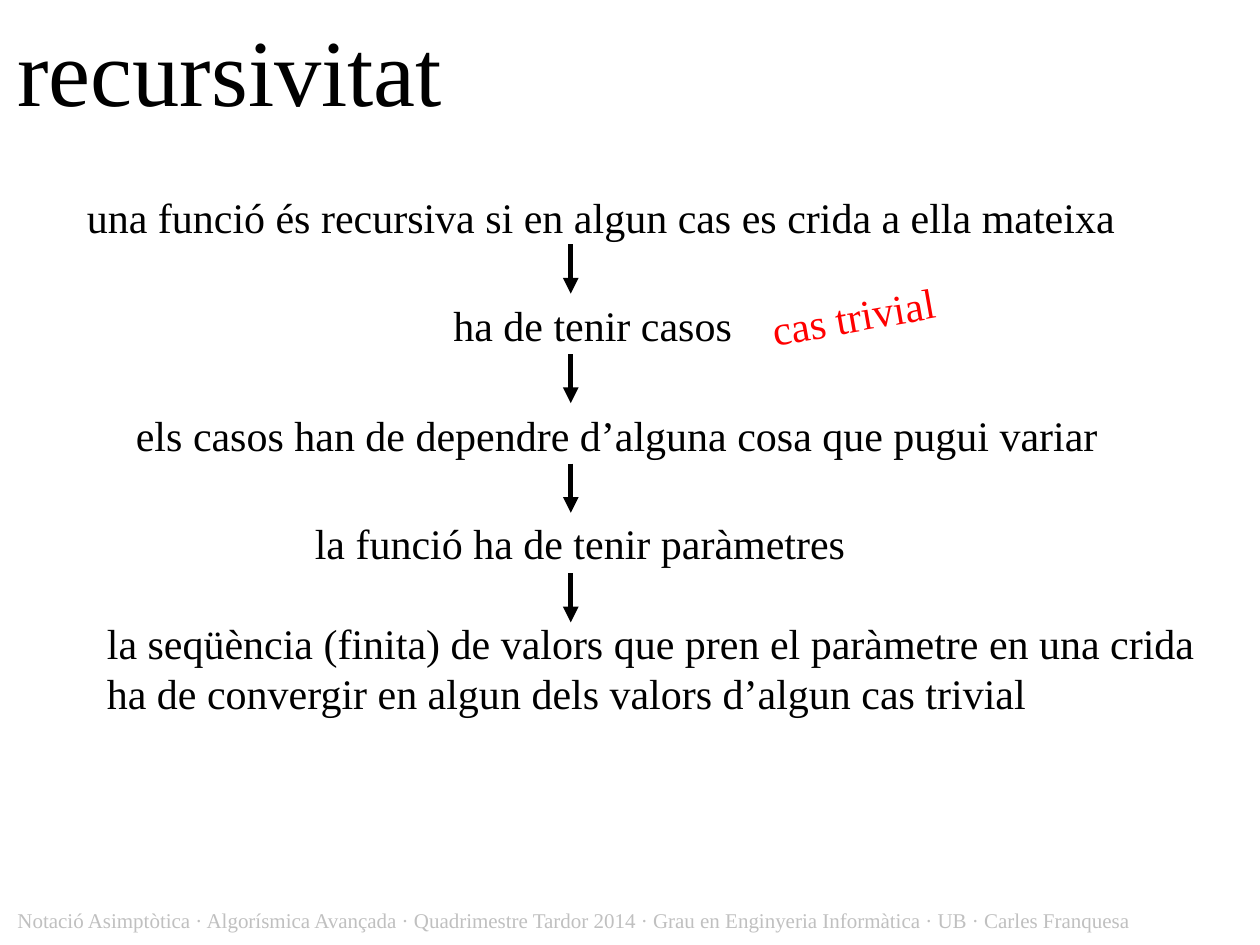
"""Builds the slide on recursion: a chain of statements joined by arrows."""
from lxml import etree
from pptx import Presentation
from pptx.dml.color import RGBColor
from pptx.enum.shapes import MSO_CONNECTOR
from pptx.oxml.ns import qn
from pptx.util import Inches, Pt

STRAIGHT = MSO_CONNECTOR.STRAIGHT
BLACK = RGBColor(0x00, 0x00, 0x00)
RED = RGBColor(0xFF, 0x00, 0x00)
SILVER = RGBColor(0xC0, 0xC0, 0xC0)
FOOTER = ("Notació Asimptòtica · Algorísmica Avançada · Quadrimestre Tardor 2014 · "
          "Grau en Enginyeria Informàtica · UB · Carles Franquesa")
STATEMENTS = [
    (0.59, 1.47, 8.51, 0.5, "una funció és recursiva si en algun cas es crida a ella mateixa"),
    (3.5, 2.33, 2.44, 0.5, "ha de tenir casos"),
    (0.98, 3.2, 7.88, 0.5, "els casos han de dependre d’alguna cosa que pugui variar"),
    (2.4, 4.06, 4.65, 0.5, "la funció ha de tenir paràmetres"),
    (0.75, 4.85, 8.98, 0.9, "la seqüència (finita) de valors que pren el paràmetre en una crida "
                            "ha de convergir en algun dels valors d’algun cas trivial"),
]
ARROW_X, ARROW_TOP, ARROW_LENGTH, ARROW_STEP = 4.53, 1.94, 0.39, 0.87


class Deck:
    """Holds the text style and the current slide."""
    font = "Times New Roman"

    def __init__(self, slide):
        self.s = slide

    def text(self, x, y, w, h, text, size=24, color=BLACK, rotation=0):
        """Adds a line or block of text."""
        sp = self.s.shapes.add_textbox(Inches(x), Inches(y), Inches(w), Inches(h))
        sp.rotation = rotation
        tf = sp.text_frame
        tf.word_wrap = True
        tf.text = text
        r = tf.paragraphs[0].runs[0]
        r.font.name = self.font
        r.font.size = Pt(size)
        r.font.color.rgb = color

    def down_arrow(self, x, y, length):
        """Adds a vertical arrow that points down."""
        cn = self.s.shapes.add_connector(
            STRAIGHT, Inches(x), Inches(y), Inches(x), Inches(y + length))
        cn.line.color.rgb = BLACK
        cn.line.width = Pt(3)
        sp_pr = cn.line._get_or_add_ln().getparent()
        etree.SubElement(sp_pr.find(qn("a:ln")), qn("a:tailEnd"), type="triangle")
        etree.SubElement(sp_pr, qn("a:effectLst"))


def main():
    """Builds and saves the slide."""
    prs = Presentation()
    prs.slide_width, prs.slide_height = Inches(10), Inches(7.5)
    deck = Deck(prs.slides.add_slide(prs.slide_layouts[6]))
    deck.text(0.04, 7.15, 9.77, 0.3, FOOTER, size=12, color=SILVER)
    deck.text(0.04, 0.05, 3.7, 1, "recursivitat", size=54)
    for statement in STATEMENTS:
        deck.text(*statement)
    deck.text(6.02, 2.25, 1.57, 0.5, "cas trivial", color=RED, rotation=350)
    for i in range(len(STATEMENTS) - 1):
        deck.down_arrow(ARROW_X, ARROW_TOP + i * ARROW_STEP, ARROW_LENGTH)
    prs.save("out.pptx")


if __name__ == "__main__":
    main()
